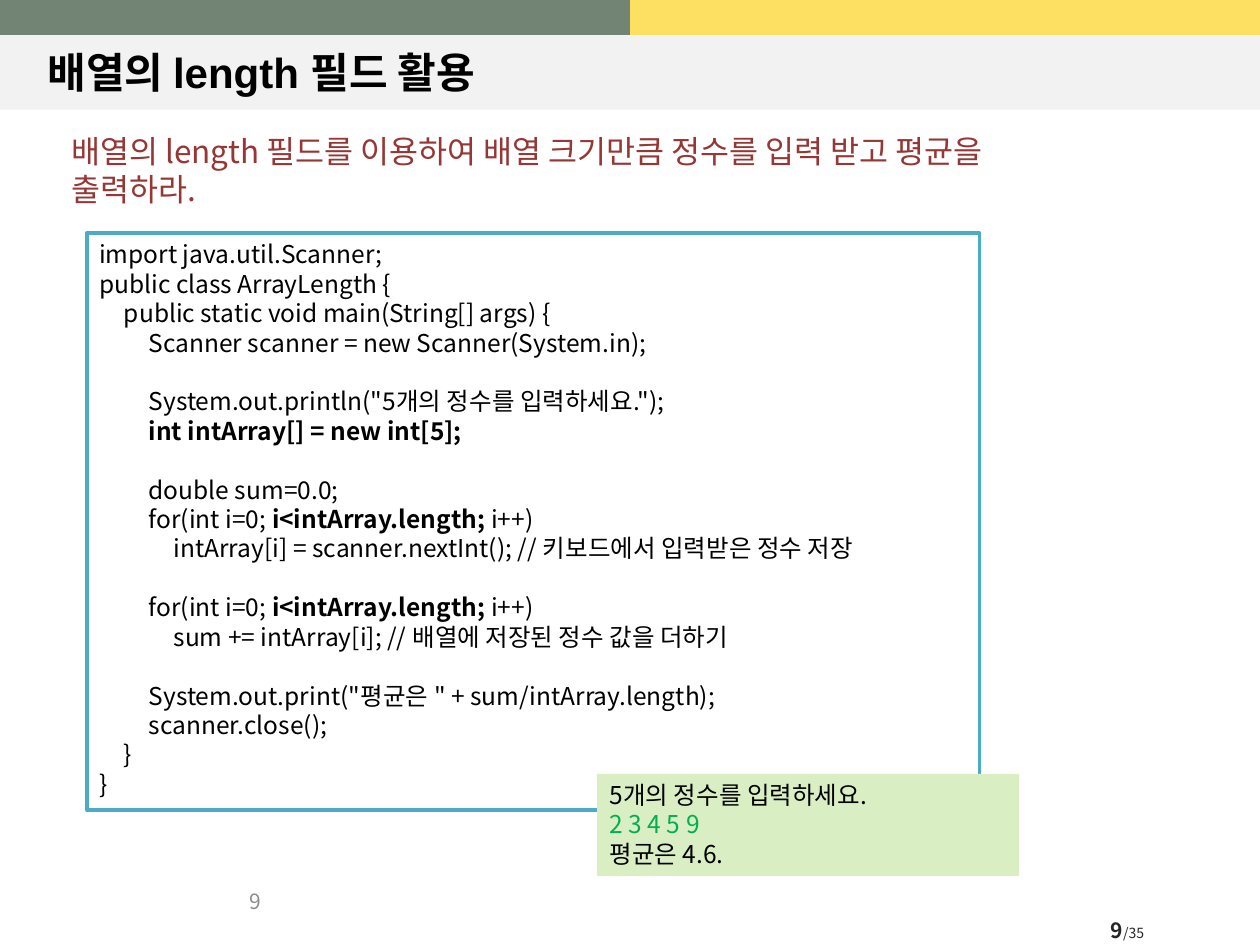
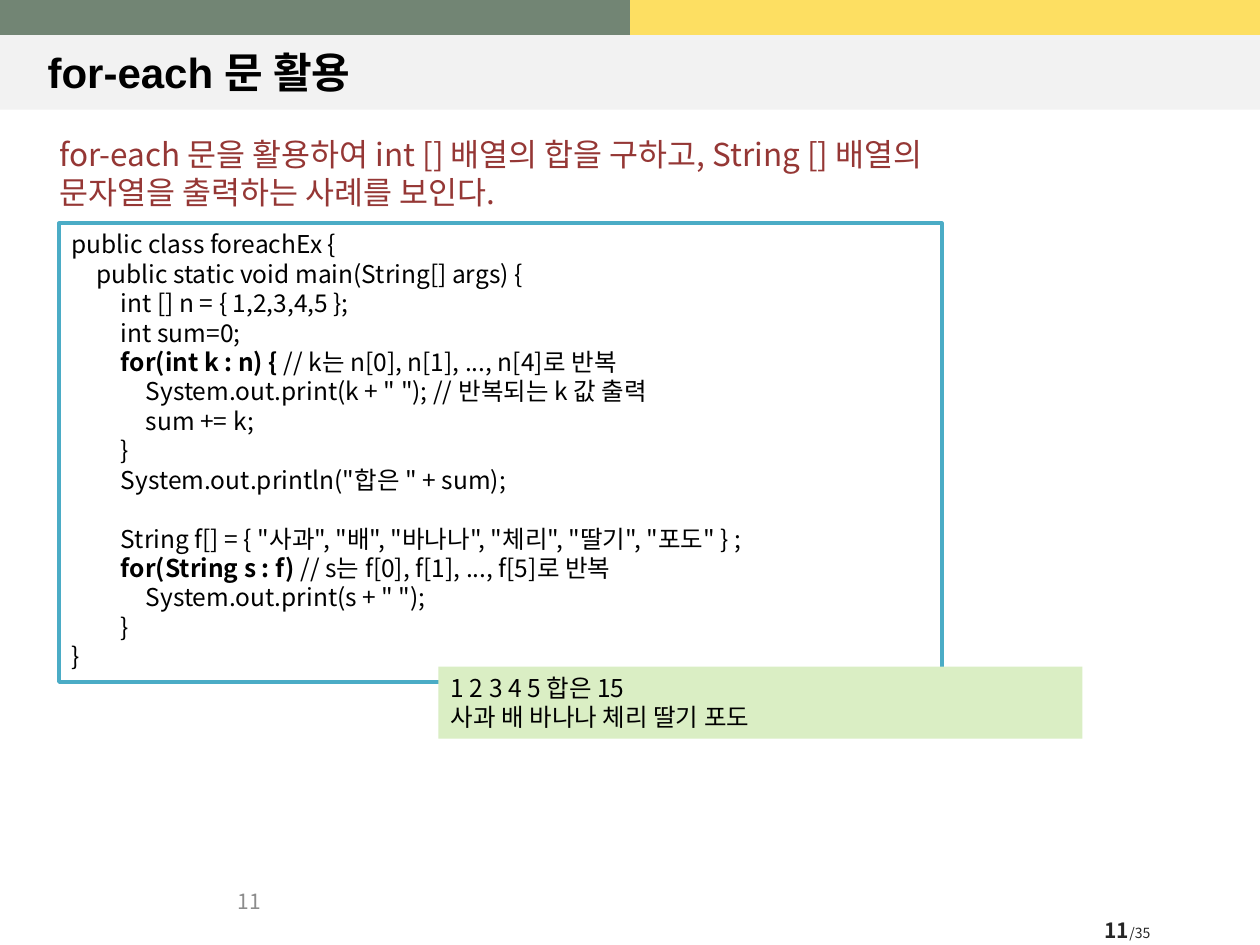
from pptx import Presentation
from pptx.dml.color import RGBColor
from pptx.enum.shapes import MSO_SHAPE
from pptx.enum.text import MSO_ANCHOR as ANCHOR, PP_ALIGN as ALIGN
from pptx.oxml.ns import qn
from pptx.util import Cm, Pt
from lxml.etree import SubElement

GREEN = RGBColor(0x72, 0x85, 0x74)
YELLOW = RGBColor(0xFD, 0xDF, 0x62)
BAND = RGBColor(0xF2, 0xF2, 0xF2)
BLACK = RGBColor(0, 0, 0)
WHITE = RGBColor(0xFF, 0xFF, 0xFF)
DARK = RGBColor(0x26, 0x26, 0x26)
GREY = RGBColor(0x8C, 0x8C, 0x8C)
RED = RGBColor(0x95, 0x37, 0x35)
TEAL = RGBColor(0x4B, 0xAC, 0xC6)
OUTPUT = RGBColor(0xDA, 0xEE, 0xC4)
INPUT = RGBColor(0x00, 0xB0, 0x50)

BODY = "Noto Sans CJK KR"
TITLE = "Arial"
NO_STYLE = "{2D5ABB26-0587-4C30-8999-92F81FD0307C}"
WIDTH, HEIGHT = 25.4, 19.05
STRIP = 0.71
PAGES = 35
CODE_SIZE = 14
LINE_RATIO = 1.2
TAB = 0.5

LENGTH_CODE = """\
import java.util.Scanner;
public class ArrayLength {
    public static void main(String[] args) {
        Scanner scanner = new Scanner(System.in);

        System.out.println("5개의 정수를 입력하세요.");
        **int intArray[] = new int[5];**

        double sum=0.0;
        for(int i=0; **i<intArray.length; **i++)
            intArray[i] = scanner.nextInt(); // 키보드에서 입력받은 정수 저장

        for(int i=0; **i<intArray.length; **i++)
            sum += intArray[i]; // 배열에 저장된 정수 값을 더하기

        System.out.print("평균은 " + sum/intArray.length);
        scanner.close();
    }
}"""

FOREACH_CODE = """\
public class foreachEx {
    public static void main(String[] args) {
        int [] n = { 1,2,3,4,5 };
        int sum=0;
        **for(int k : n) { **// k는 n[0], n[1], ..., n[4]로 반복
            System.out.print(k + " "); // 반복되는 k 값 출력
            sum += k;
        }
        System.out.println("합은 " + sum);

        String f[] = { "사과", "배", "바나나", "체리", "딸기", "포도" } ;
        **for(String s : f) **// s는 f[0], f[1], ..., f[5]로 반복
            System.out.print(s + " ");
        }
}"""


def add_run(p, text, size, color=BLACK, bold=False, font=BODY):
    r = p.add_run()
    r.text = text
    r.font.size, r.font.bold, r.font.name = Pt(size), bold, font
    r.font.color.rgb = color
    SubElement(r._r.get_or_add_rPr(), qn("a:ea")).set("typeface", BODY)


def add_paragraph(tf, size, align=ALIGN.LEFT):
    """Return the unused first paragraph, or a new one, with fixed line height."""
    p = tf.paragraphs[0]
    if p.runs:
        p = tf.add_paragraph()
    p.alignment = align
    p.line_spacing = Pt(size * LINE_RATIO)
    return p


def add_text(s, box, lines, size, align=ALIGN.LEFT, anchor=ANCHOR.TOP, **style):
    tf = s.shapes.add_textbox(*map(Cm, box)).text_frame
    tf.word_wrap = True
    tf.vertical_anchor = anchor
    for line in lines:
        add_run(add_paragraph(tf, size, align), line, size, **style)


def add_rect(s, box, fill, line=None):
    sp = s.shapes.add_shape(MSO_SHAPE.RECTANGLE, *map(Cm, box))
    sp.shadow.inherit = False
    sp.fill.solid()
    sp.fill.fore_color.rgb = fill
    if line is None:
        sp.line.fill.background()
    else:
        sp.line.color.rgb = line
        sp.line.width = Pt(2)
    tf = sp.text_frame
    tf.word_wrap = True
    tf.vertical_anchor = ANCHOR.TOP
    return tf


def add_code(s, box, code):
    """Indent by leading spaces, set **marked** parts bold, turn empty lines into space."""
    tf = add_rect(s, box, WHITE, TEAL)
    gap = 0
    for line in code.splitlines():
        text = line.lstrip()
        if not text:
            gap += CODE_SIZE * LINE_RATIO
            continue
        p = add_paragraph(tf, CODE_SIZE)
        p.space_before = Pt(gap)
        gap = 0
        pPr = p._p.get_or_add_pPr()
        pPr.set("marL", str(Cm((len(line) - len(text)) // 4 * TAB)))
        pPr.set("indent", "0")
        for i, part in enumerate(text.split("**")):
            if part:
                add_run(p, part, CODE_SIZE, bold=i % 2 == 1)


def add_output(s, box, lines):
    tf = add_rect(s, box, OUTPUT)
    for text, color in lines:
        add_run(add_paragraph(tf, CODE_SIZE), text, CODE_SIZE, color)


def add_strip(s):
    """Two-colour strip along the top edge."""
    table = s.shapes.add_table(1, 2, 0, 0, Cm(WIDTH), Cm(STRIP)).table
    table.first_row = table.horz_banding = False
    table._tbl.tblPr.find(qn("a:tableStyleId")).text = NO_STYLE
    for cell, color in zip(table.rows[0].cells, (GREEN, YELLOW)):
        cell.fill.solid()
        cell.fill.fore_color.rgb = color
        cell.margin_top = cell.margin_bottom = 0
        end = SubElement(cell.text_frame.paragraphs[0]._p, qn("a:endParaRPr"))
        end.set("sz", "800")


def add_page_of_total(s, number):
    tf = s.shapes.add_textbox(Cm(21.51), Cm(18.42), Cm(2.44), Cm(0.66)).text_frame
    tf.word_wrap = False
    tf.margin_left = tf.margin_right = 0
    tf.vertical_anchor = ANCHOR.MIDDLE
    p = add_paragraph(tf, 12, ALIGN.CENTER)
    add_run(p, str(number), 12, DARK, bold=True)
    add_run(p, f"/{PAGES}", 8, DARK)


def add_slide(prs, title, number):
    s = prs.slides.add_slide(prs.slide_layouts[6])
    add_rect(s, (0, STRIP, WIDTH, 1.5), BAND)
    add_page_of_total(s, number)
    add_strip(s)
    add_text(s, (0.71, 0.74, 24, 1.42), [title], 24, anchor=ANCHOR.MIDDLE,
             bold=True, font=TITLE)
    add_text(s, (0, 17.65, 5.51, 1.02), [str(number)], 12, ALIGN.RIGHT,
             ANCHOR.MIDDLE, color=GREY)
    return s


def main():
    prs = Presentation()
    prs.slide_width, prs.slide_height = Cm(WIDTH), Cm(HEIGHT)

    s = add_slide(prs, "배열의 length 필드 활용", 9)
    add_text(s, (1.19, 2.54, 21.72, 1.8),
             ["배열의 length 필드를 이용하여 배열 크기만큼 정수를 입력 받고 평균을",
              "출력하라."], 18, color=RED)
    add_code(s, (1.75, 4.7, 18, 11.63), LENGTH_CODE)
    add_output(s, (12.04, 15.6, 8.5, 2.06),
               [("5개의 정수를 입력하세요.", BLACK), ("2 3 4 5 9", INPUT),
                ("평균은 4.6.", BLACK)])

    s = add_slide(prs, "for-each 문 활용", 11)
    add_text(s, (0.95, 2.6, 18.8, 1.8),
             ["for-each 문을 활용하여 int [] 배열의 합을 구하고, String [] "
              "배열의 문자열을 출력하는 사례를 보인다."], 18, color=RED)
    add_code(s, (1.19, 4.5, 17.8, 9.25), FOREACH_CODE)
    add_output(s, (8.84, 13.44, 12.98, 1.45),
               [("1 2 3 4 5 합은 15", BLACK), ("사과 배 바나나 체리 딸기 포도", BLACK)])

    prs.save("out.pptx")


if __name__ == "__main__":
    main()
